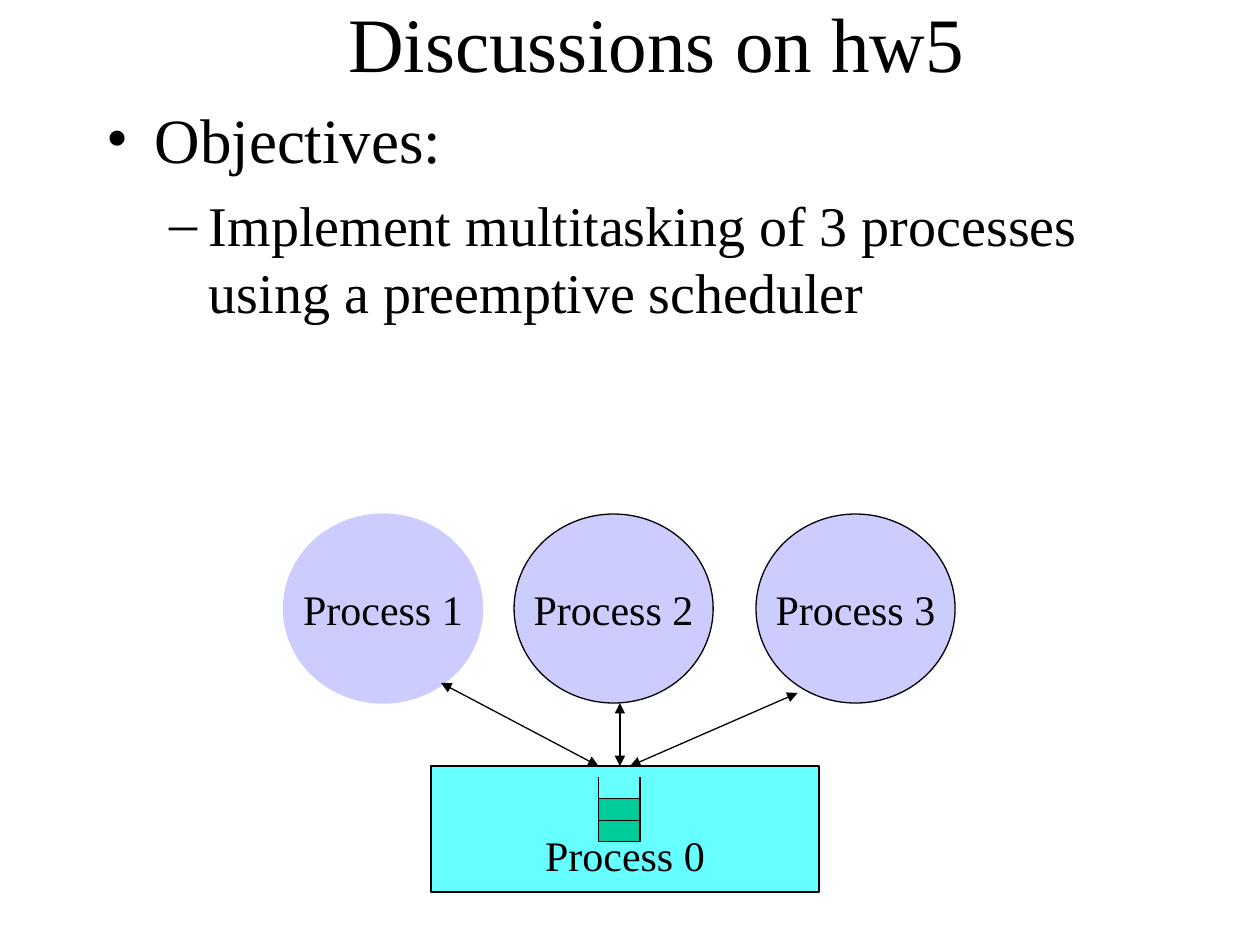
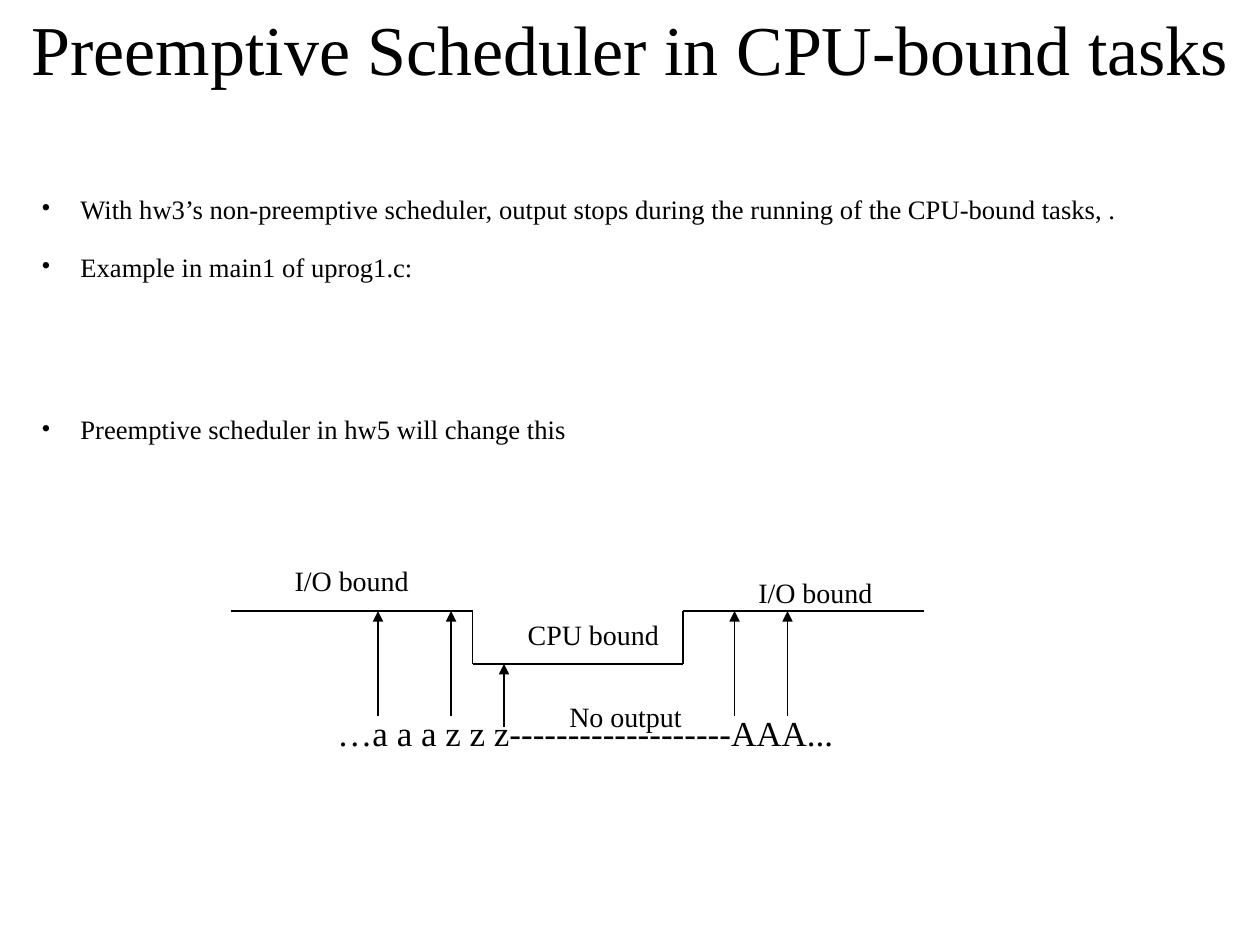
from itertools import pairwise

from lxml import etree
from pptx import Presentation
from pptx.dml.color import RGBColor
from pptx.enum.shapes import MSO_CONNECTOR, MSO_SHAPE
from pptx.enum.text import MSO_ANCHOR, PP_ALIGN
from pptx.oxml.ns import qn
from pptx.util import Inches, Pt

LINE = MSO_CONNECTOR.STRAIGHT
OVAL, RECT = MSO_SHAPE.OVAL, MSO_SHAPE.RECTANGLE
TOP, MIDDLE, BOTTOM = MSO_ANCHOR.TOP, MSO_ANCHOR.MIDDLE, MSO_ANCHOR.BOTTOM
LEFT, CENTER = PP_ALIGN.LEFT, PP_ALIGN.CENTER

FONT = "Times New Roman"
COLORS = {"ink": "000000", "task": "CCCCFF", "kernel": "66FFFF", "cell": "00CC99"}


def color(name):
    return RGBColor.from_string(COLORS[name])


def style(para, size, align=LEFT):
    para.alignment = align
    for run in para.runs:
        run.font.name = FONT
        run.font.size = Pt(size)
        run.font.color.rgb = color("ink")


def add_text(slide, box, text, size, align=LEFT, anchor=TOP):
    frame = slide.shapes.add_textbox(*map(Inches, box)).text_frame
    frame.word_wrap = True
    frame.vertical_anchor = anchor
    frame.text = text
    style(frame.paragraphs[0], size, align)


def add_title(slide, box, text, size):
    add_text(slide, box, text, size, CENTER, MIDDLE)


def add_bullets(slide, box, items, spacing=1.0):
    """Items are (text, size, bullet, margin, hang, space before)."""
    frame = slide.shapes.add_textbox(*map(Inches, box)).text_frame
    frame.word_wrap = True
    for i, (text, size, bullet, margin, hang, before) in enumerate(items):
        para = frame.add_paragraph() if i else frame.paragraphs[0]
        para.text = text
        props = para._p.get_or_add_pPr()
        props.set("marL", str(Inches(margin)))
        props.set("indent", str(-Inches(hang)))
        etree.SubElement(props, qn("a:buFont")).set("typeface", FONT)
        etree.SubElement(props, qn("a:buChar")).set("char", bullet)
        para.line_spacing = spacing
        para.space_before = Pt(before)
        style(para, size)


def add_block(slide, kind, box, fill, line="ink", text="", anchor=MIDDLE):
    shape = slide.shapes.add_shape(kind, *map(Inches, box))
    shape.shadow.inherit = False
    shape.fill.solid()
    shape.fill.fore_color.rgb = color(fill)
    shape.line.color.rgb = color(line)
    shape.line.width = Pt(0.75)
    if text:
        frame = shape.text_frame
        frame.word_wrap = False
        frame.vertical_anchor = anchor
        frame.margin_bottom = Inches(0.1 if anchor == BOTTOM else 0.05)
        frame.text = text
        style(frame.paragraphs[0], 24, CENTER)


def add_line(slide, start, end, heads=()):
    """Heads names the arrow ends: headEnd at the start, tailEnd at the end."""
    link = slide.shapes.add_connector(LINE, *map(Inches, (*start, *end)))
    link.line.color.rgb = color("ink")
    link.line.width = Pt(0.75)
    for head in heads:
        etree.SubElement(link.line._get_or_add_ln(), qn(f"a:{head}")).set("type", "triangle")
    etree.SubElement(link._element.spPr, qn("a:effectLst"))


def add_stack(slide, left, top):
    """An open stack holding two cells."""
    wide, cell = 0.33, 0.17
    for row in (1, 2):
        add_block(slide, RECT, (left, top + row * cell, wide, cell), "cell")
    for x in (left, left + wide):
        add_line(slide, (x, top), (x, top + cell))


def add_tasks(slide, left, top):
    """Three processes linked to the kernel process."""
    for i, (x, line) in enumerate([(0, "task"), (1.83, "ink"), (3.75, "ink")], 1):
        add_block(slide, OVAL, (left + x, top, 1.58, 1.5), "task", line, f"Process {i}")
    base = top + 2
    add_block(slide, RECT, (left + 1.17, base, 3.08, 1), "kernel",
              text="Process 0", anchor=BOTTOM)
    for x, y, end in [(1.25, 1.34, 2.5), (2.67, 1.5, 2.67), (4.08, 1.42, 2.75)]:
        add_line(slide, (left + x, top + y), (left + end, base), ("headEnd", "tailEnd"))
    add_stack(slide, left + 2.5, base + 0.09)


def add_timeline(slide, left, top):
    """Bound phases of a task, with its output below."""
    high, low = top + 0.43, top + 0.85
    fall, rise, stop = left + 1.92, left + 3.59, left + 5.5
    trace = [(left, high), (fall, high), (fall, low), (rise, low), (rise, high), (stop, high)]
    for start, end in pairwise(trace):
        add_line(slide, start, end)
    add_text(slide, (left + 0.75, top + 1.18, 4.83, 0.44),
             "…a a a z z z-------------------AAA...", 20)
    labels = [("I/O bound", 0.41, 0), ("I/O bound", 4.09, 0.1),
              ("CPU bound", 2.26, 0.43), ("No output", 2.59, 1.08)]
    for text, x, y in labels:
        add_text(slide, (left + x, top + y, 1.3, 0.37), text, 16)
    for x in (1.17, 1.75, 4, 4.42):
        add_line(slide, (left + x, top + 1.26), (left + x, high), ("tailEnd",))
    add_line(slide, (left + 2.17, top + 1.35), (left + 2.17, low), ("tailEnd",))


def build_goals(slide):
    add_title(slide, (0.67, 0, 9.08, 0.67), "Discussions on hw5", 44)
    add_bullets(slide, (0.75, 0.75, 8.83, 2.58), [
        ("Objectives:", 36, "•", 0.38, 0.38, 0),
        ("Implement multitasking of 3 processes using a preemptive scheduler",
         32, "–", 0.81, 0.31, 8),
    ])
    add_tasks(slide, 2.25, 4.08)


def build_bound(slide):
    add_title(slide, (0, 0, 10, 0.75), "Preemptive Scheduler in CPU-bound tasks", 40)
    points = [
        ("With hw3’s non-preemptive scheduler, output stops during the running "
         "of the CPU-bound tasks, .", 0),
        ("Example in main1 of uprog1.c:", 20.4),
        ("Preemptive scheduler in hw5 will change this", 80),
    ]
    add_bullets(slide, (0.23, 1.55, 9.75, 2.58),
                [(text, 15.2, "•", 0.31, 0.31, before) for text, before in points], 0.7)
    add_timeline(slide, 1.83, 4.42)


def main():
    deck = Presentation()
    deck.slide_width, deck.slide_height = Inches(10), Inches(7.5)
    for build in (build_goals, build_bound):
        build(deck.slides.add_slide(deck.slide_layouts[6]))
    deck.save("out.pptx")


if __name__ == "__main__":
    main()
